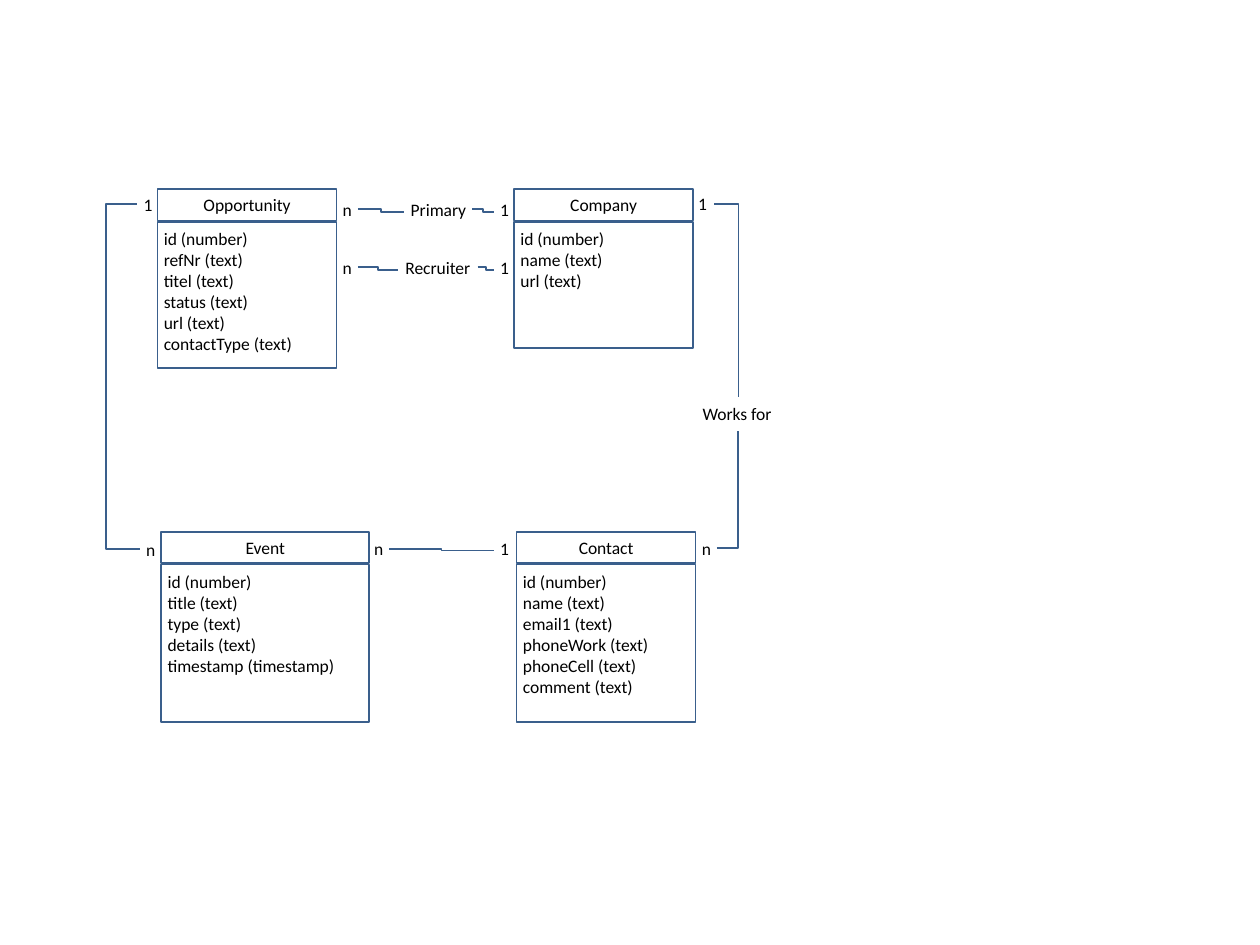
import pptx
import pptx.util
import pptx.dml.color
import pptx.enum.shapes
import pptx.enum.text
import pptx.oxml
import pptx.oxml.ns
from pptx.util import Inches

BLUE, WHITE, BLACK = "3A5F8C", "FFFFFF", "000000"
HEAD_H, BODY_GAP, TAG_W, TAG_H = 0.25, 0.26, 0.17, 0.27

# name, left, top, width, body height, fields
TABLES = [
    ("Opportunity", 1.25, 1.5, 1.42, 1.16,
     ["id (number)", "refNr (text)", "titel (text)", "status (text)",
      "url (text)", "contactType (text)"]),
    ("Company", 4.08, 1.5, 1.42, 1,
     ["id (number)", "name (text)", "url (text)"]),
    ("Contact", 4.1, 4.22, 1.42, 1.25,
     ["id (number)", "name (text)", "email1 (text)", "phoneWork (text)",
      "phoneCell (text)", "comment (text)"]),
    ("Event", 1.28, 4.22, 1.65, 1.25,
     ["id (number)", "title (text)", "type (text)", "details (text)",
      "timestamp (timestamp)"]),
]
# text, left, top, width
ROLES = [("Primary", 3.21, 1.53, 0.54), ("Recruiter", 3.16, 1.99, 0.63),
         ("Works for", 5.52, 3.15, 0.66)]
# text, left, top
TAGS = [("n", 2.67, 1.53), ("1", 3.92, 1.53), ("n", 2.67, 1.99),
        ("1", 3.92, 1.99), ("n", 5.52, 4.22), ("1", 5.49, 1.48),
        ("n", 2.92, 4.22), ("1", 3.92, 4.22), ("n", 1.11, 4.23),
        ("1", 1.09, 1.49)]
# start x, start y, end x, end y
STEPS = [(2.84, 1.66, 3.21, 1.68), (3.75, 1.66, 3.92, 1.68),
         (2.84, 2.12, 3.16, 2.14), (3.79, 2.12, 3.92, 2.14),
         (3.09, 4.36, 3.92, 4.37)]
CORNERS = [(5.69, 4.35, 5.86, 3.42), (5.67, 1.62, 5.86, 3.15)]
LOOP, LOOP_X = (1.11, 4.36, 1.09, 1.62), 0.84


def color(code):
    """Turn a hex string into a colour."""
    return pptx.dml.color.RGBColor.from_string(code)


def write(shape, lines, inset, center=True):
    """Fill a shape with lines of text."""
    frame = shape.text_frame
    frame.margin_left = frame.margin_right = Inches(inset)
    frame.margin_top = frame.margin_bottom = Inches(inset)
    frame.word_wrap = True
    anchor, align = pptx.enum.text.MSO_ANCHOR, pptx.enum.text.PP_ALIGN
    frame.vertical_anchor = anchor.MIDDLE if center else anchor.TOP
    frame.text = "\n".join(lines)
    for para in frame.paragraphs:
        para.alignment = align.CENTER if center else align.LEFT
        para.font.name = "Calibri"
        para.font.size = pptx.util.Pt(10)
        para.font.color.rgb = color(BLACK)


def fit(shape):
    """Let a label grow with its text."""
    shape.text_frame.word_wrap = False
    shape.text_frame.auto_size = pptx.enum.text.MSO_AUTO_SIZE.SHAPE_TO_FIT_TEXT


def box(left, top, width, height, line):
    """Draw an unfilled rectangle."""
    shape = shapes.add_shape(pptx.enum.shapes.MSO_SHAPE.RECTANGLE,
                             *map(Inches, (left, top, width, height)))
    shape.shadow.inherit = False
    shape.fill.background()
    shape.line.color.rgb = color(line)
    shape.line.width = pptx.util.Pt(1)
    return shape


def link(ends, kind="bentConnector3", bend=0.5):
    """Draw a bent line between two points."""
    line = shapes.add_connector(pptx.enum.shapes.MSO_CONNECTOR.ELBOW,
                                *map(Inches, ends))
    line.line.color.rgb = color(BLUE)
    line.line.width = pptx.util.Pt(1)
    props = line._element.spPr
    pptx.oxml.ns.qn("a:effectLst")
    props.append(props.makeelement(pptx.oxml.ns.qn("a:effectLst"), {}))
    geom = props.find(pptx.oxml.ns.qn("a:prstGeom"))
    geom.set("prst", kind)
    if kind == "bentConnector3":
        guides = geom.find(pptx.oxml.ns.qn("a:avLst"))
        guides.append(guides.makeelement(
            pptx.oxml.ns.qn("a:gd"),
            {"name": "adj1", "fmla": f"val {round(bend * 100000)}"}))


deck = pptx.Presentation()
deck.slide_width, deck.slide_height = Inches(10), Inches(7.5)
shapes = deck.slides.add_slide(deck.slide_layouts[6]).shapes

for name, left, top, width, height, fields in TABLES:
    write(box(left, top, width, HEAD_H, BLUE), [name], 0)
    write(box(left, top + BODY_GAP, width, height, BLUE), fields, 0.05, False)

for text, left, top, width in ROLES:
    role = box(left, top, width, TAG_H, WHITE)
    write(role, [text], 0.05)
    fit(role)

for ends in STEPS:
    link(ends)
for ends in CORNERS:
    link(ends, "bentConnector2")
link(LOOP, bend=(LOOP[0] - LOOP_X) / (LOOP[0] - LOOP[2]))

for text, left, top in TAGS:
    tag = shapes.add_textbox(*map(Inches, (left, top, TAG_W, TAG_H)))
    write(tag, [text], 0.05)
    fit(tag)

deck.save("out.pptx")
